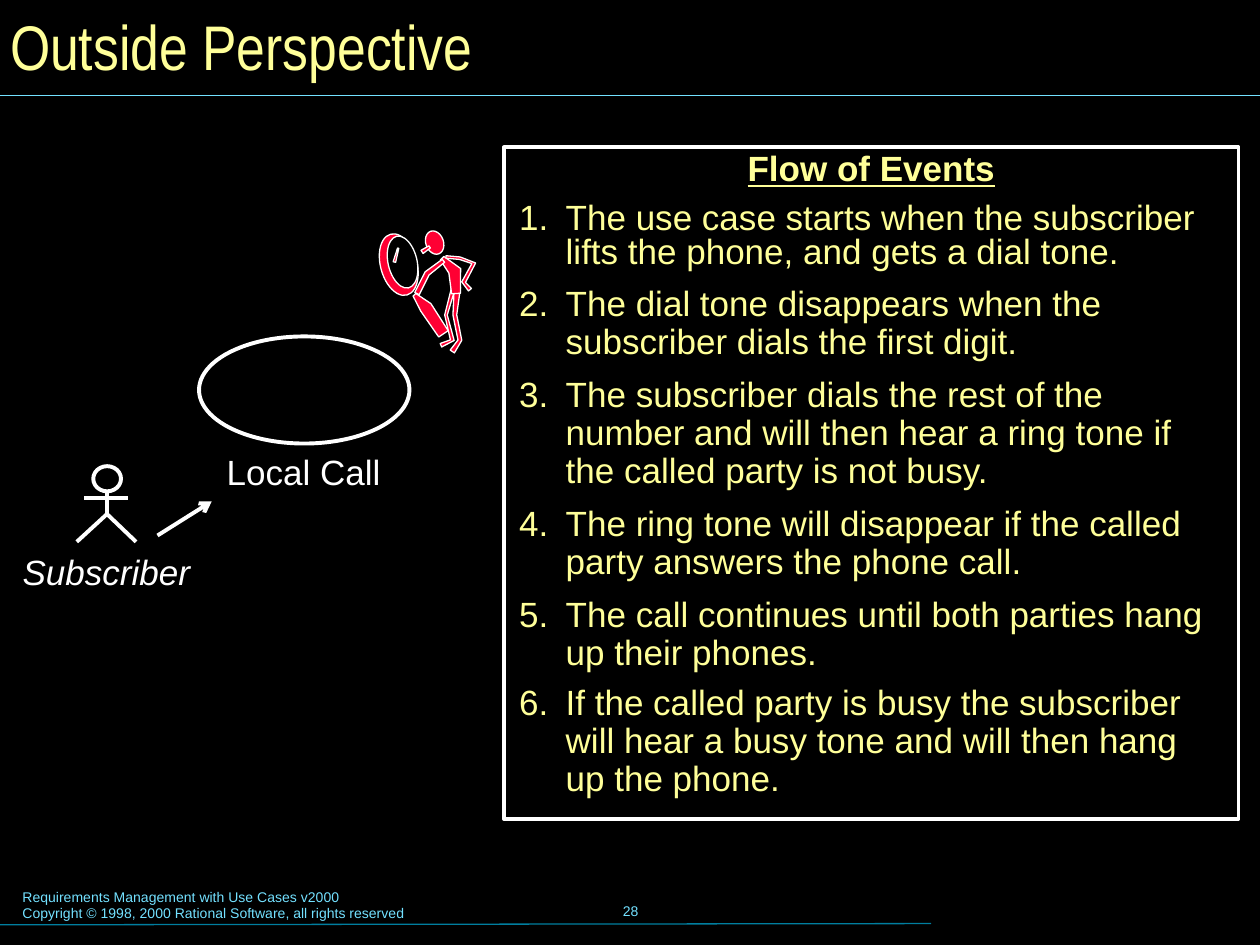
import math
from dataclasses import dataclass
from typing import Any, NamedTuple

import pptx
import pptx.dml.color
import pptx.enum.shapes
import pptx.enum.text
import pptx.oxml
import pptx.oxml.ns
import pptx.util

Inches = pptx.util.Inches
Pt = pptx.util.Pt
Align = pptx.enum.text.PP_ALIGN
Anchor = pptx.enum.text.MSO_ANCHOR
Kind = pptx.enum.shapes.MSO_SHAPE
Point = tuple[float, float]


@dataclass(frozen=True)
class Theme:
    black: str = "000000"
    white: str = "FFFFFF"
    yellow: str = "FFFF99"
    sky: str = "73E1FF"
    teal: str = "007E9F"
    red: str = "FF0033"
    font: str = "Arial"
    narrow: str = "Arial Narrow"
    title: float = 36
    body: float = 20
    small: float = 8
    thin: float = 0.75
    thick: float = 2.25


THEME = Theme()


class Box(NamedTuple):
    left: float
    top: float
    width: float
    height: float


class Label(NamedTuple):
    box: Box
    lines: list[str]
    format: dict[str, Any]
    color: str
    align: Any = Align.LEFT
    anchor: Any = Anchor.TOP
    wrap: bool = False


class Stroke(NamedTuple):
    start: Point
    end: Point
    color: str = THEME.white
    width: float = THEME.thick
    arrow: bool = False


class Step(NamedTuple):
    text: str
    spacing: float = 0.9
    before: float = 8.8


class Oval(NamedTuple):
    box: Box
    fill: str | None = None
    line: float = THEME.thick
    tilt: float = 0


class Limb(NamedTuple):
    """A bent band: its joints, and its breadth at each joint."""
    joints: list[Point]
    widths: list[float]


SMALL = {"name": THEME.font, "size": Pt(THEME.small)}
PLAIN = {"name": THEME.font, "size": Pt(THEME.body)}
LABELS = [
    Label(Box(0.08, 7, 5.1, 0.37),
          ["Requirements Management with Use Cases v2000",
           "Copyright © 1998, 2000 Rational Software, all rights reserved"],
          SMALL, THEME.sky, wrap=True),
    Label(Box(3.42, 6.98, 3.17, 0.5), ["28"], SMALL, THEME.sky, Align.CENTER, Anchor.MIDDLE),
    Label(Box(1.7, 3.53, 1.42, 0.44), ["Local Call"], PLAIN, THEME.white, Align.CENTER),
    Label(Box(0.08, 4.32, 1.53, 0.44), ["Subscriber"], PLAIN | {"italic": True},
          THEME.white, Align.CENTER),
]
STROKES = [
    Stroke((0, 7.34), (7.39, 7.33), THEME.teal, THEME.thin),
    Stroke((0, 0.76), (10, 0.76), THEME.sky, THEME.thin),
    Stroke((1.25, 4.25), (1.68, 3.98), arrow=True),
    Stroke((0.85, 3.9), (0.85, 4.08)),
    Stroke((0.67, 3.95), (1.02, 3.95)),
]
USE_CASE = Oval(Box(1.58, 2.67, 1.67, 0.85))
ACTOR_HEAD = Oval(Box(0.74, 3.7, 0.22, 0.2))
ACTOR_LEGS = [(0.61, 4.3), (0.85, 4.08), (1.08, 4.3)]
STEPS = [
    Step("The use case starts when the subscriber lifts the phone, and gets a dial tone.", 0.8),
    Step("The dial tone disappears when the subscriber dials the first digit."),
    Step("The subscriber dials the rest of the number and will then hear a ring tone "
         "if the called party is not busy."),
    Step("The ring tone will disappear if the called party answers the phone call."),
    Step("The call continues until both parties hang up their phones."),
    Step("If the called party is busy the subscriber will hear a busy tone "
         "and will then hang up the phone.", before=7),
]
# A person who looks through a magnifying glass.
RIM = Oval(Box(3.02, 1.85, 0.29, 0.5), THEME.red, THEME.thin, -15)
LENS = Oval(Box(3.08, 1.87, 0.23, 0.42), THEME.black, THEME.thin, -13)
FACE = Oval(Box(3.38, 1.83, 0.14, 0.19), THEME.red, THEME.thin, -20)
LIMBS = {
    "glint": Limb([(3.16, 1.97), (3.13, 2.08)], [0.01, 0.02]),
    "handle": Limb([(3.29, 2.34), (3.38, 2.44), (3.52, 2.65)], [0.03, 0.1, 0.09]),
    "pipe": Limb([(3.41, 1.96), (3.35, 2)], [0.02, 0.03]),
    "left leg": Limb([(3.6, 2.28), (3.54, 2.5), (3.59, 2.7), (3.5, 2.74)],
                     [0.03, 0.02, 0.03, 0.03]),
    "right leg": Limb([(3.63, 2.28), (3.61, 2.5), (3.65, 2.7), (3.59, 2.79)],
                      [0.05, 0.03, 0.03, 0.04]),
    "torso": Limb([(3.51, 2.05), (3.61, 2.15), (3.62, 2.33)], [0.04, 0.1, 0.07]),
    "bent arm": Limb([(3.54, 2.04), (3.65, 2.05), (3.76, 2.09), (3.68, 2.24), (3.73, 2.3)],
                     [0.02, 0.02, 0.03, 0.03, 0.03]),
    "long arm": Limb([(3.52, 2.07), (3.39, 2.17), (3.31, 2.33)], [0.03, 0.04, 0.04]),
}


def tint(code: str) -> Any:
    return pptx.dml.color.RGBColor.from_string(code)


def place(box: Box) -> list[Any]:
    return [Inches(side) for side in box]


def style(target: Any, values: dict[str, Any]) -> None:
    for name, value in values.items():
        setattr(target, name, value)


def write(par: Any, text: str, values: dict[str, Any], color: str) -> None:
    run = par.add_run()
    run.text = text
    style(run.font, values)
    run.font.color.rgb = tint(color)


def finish(shape: Any, width: float, fill: str | None = None) -> None:
    """Give a shape a white outline, no shadow, and a fill if one is named."""
    shape.shadow.inherit = False
    if fill:
        shape.fill.solid()
        shape.fill.fore_color.rgb = tint(fill)
    else:
        shape.fill.background()
    shape.line.color.rgb = tint(THEME.white)
    shape.line.width = Pt(width)


def add_label(shapes: Any, label: Label) -> None:
    frame = shapes.add_textbox(*place(label.box)).text_frame
    style(frame, {"word_wrap": label.wrap, "vertical_anchor": label.anchor})
    for index, line in enumerate(label.lines):
        par = frame.add_paragraph() if index else frame.paragraphs[0]
        par.alignment = label.align
        write(par, line, label.format, label.color)


def add_stroke(shapes: Any, stroke: Stroke) -> None:
    ends = [Inches(value) for value in stroke.start + stroke.end]
    line = shapes.add_connector(pptx.enum.shapes.MSO_CONNECTOR.STRAIGHT, *ends)
    line.line.color.rgb = tint(stroke.color)
    line.line.width = Pt(stroke.width)
    space = pptx.oxml.ns.nsdecls("a")
    if stroke.arrow:
        tail = pptx.oxml.parse_xml(f'<a:tailEnd {space} type="arrow"/>')
        line.line._get_or_add_ln().append(tail)
    line._element.spPr.append(pptx.oxml.parse_xml(f"<a:effectLst {space}/>"))


def add_oval(shapes: Any, oval: Oval) -> None:
    shape = shapes.add_shape(Kind.OVAL, *place(oval.box))
    shape.rotation = oval.tilt
    finish(shape, oval.line, oval.fill)


def add_outline(shapes: Any, points: list[Point], width: float, fill: str | None = None) -> None:
    """Join the points with lines; a filled outline is closed."""
    first, *rest = [(Inches(x), Inches(y)) for x, y in points]
    form = shapes.build_freeform(*first)
    form.add_line_segments(rest, close=bool(fill))
    finish(form.convert_to_shape(), width, fill)


def add_limb(shapes: Any, limb: Limb) -> None:
    """Go down one side of the joints and back up the other."""
    left, right = [], []
    last = len(limb.joints) - 1
    for index, ((x, y), width) in enumerate(zip(limb.joints, limb.widths)):
        x0, y0 = limb.joints[max(index - 1, 0)]
        x1, y1 = limb.joints[min(index + 1, last)]
        angle = math.atan2(y1 - y0, x1 - x0)
        dx, dy = -math.sin(angle) * width / 2, math.cos(angle) * width / 2
        left.append((x + dx, y + dy))
        right.append((x - dx, y - dy))
    add_outline(shapes, left + right[::-1], THEME.thin, THEME.red)


def add_figure(shapes: Any) -> None:
    group = shapes.add_group_shape().shapes
    for oval in (RIM, LENS, FACE):
        add_oval(group, oval)
    for limb in LIMBS.values():
        add_limb(group, limb)


def add_flow(shapes: Any) -> None:
    panel = shapes.add_shape(Kind.RECTANGLE, *place(Box(4, 1.17, 5.83, 5.33)))
    finish(panel, THEME.thick)
    frame = panel.text_frame
    style(frame, {"word_wrap": True, "vertical_anchor": Anchor.TOP,
                  "margin_left": Inches(0.12), "margin_right": Inches(0.12),
                  "margin_top": Inches(0.06), "margin_bottom": Inches(0.06)})
    head = frame.paragraphs[0]
    style(head, {"alignment": Align.CENTER, "line_spacing": 0.8})
    write(head, "Flow of Events", PLAIN | {"bold": True, "underline": True}, THEME.yellow)
    for number, step in enumerate(STEPS, 1):
        par = frame.add_paragraph()
        style(par, {"alignment": Align.LEFT, "line_spacing": step.spacing,
                    "space_before": Pt(step.before)})
        props = par._p.get_or_add_pPr()
        props.set("marL", str(Inches(0.37)))
        props.set("indent", str(-Inches(0.37)))
        write(par, f"{number}. \t{step.text}", PLAIN, THEME.yellow)


def add_title(title: Any) -> None:
    style(title, dict(zip(("left", "top", "width", "height"),
                          place(Box(0.08, 0.08, 9.84, 0.58)))))
    frame = title.text_frame
    style(frame, {"word_wrap": True, "vertical_anchor": Anchor.BOTTOM,
                  "auto_size": pptx.enum.text.MSO_AUTO_SIZE.NONE,
                  "margin_left": 0, "margin_right": 0, "margin_top": 0, "margin_bottom": 0})
    par = frame.paragraphs[0]
    par.alignment = Align.LEFT
    write(par, "Outside Perspective",
          {"name": THEME.narrow, "size": Pt(THEME.title)}, THEME.yellow)


def main() -> None:
    deck = pptx.Presentation()
    style(deck, {"slide_width": Inches(10), "slide_height": Inches(7.5)})
    slide = deck.slides.add_slide(deck.slide_layouts[5])
    slide.background.fill.solid()
    slide.background.fill.fore_color.rgb = tint(THEME.black)
    shapes = slide.shapes
    add_title(shapes.title)
    add_flow(shapes)
    for stroke in STROKES:
        add_stroke(shapes, stroke)
    for oval in (USE_CASE, ACTOR_HEAD):
        add_oval(shapes, oval)
    add_outline(shapes, ACTOR_LEGS, THEME.thick)
    add_figure(shapes)
    for label in LABELS:
        add_label(shapes, label)
    deck.save("out.pptx")


if __name__ == "__main__":
    main()
